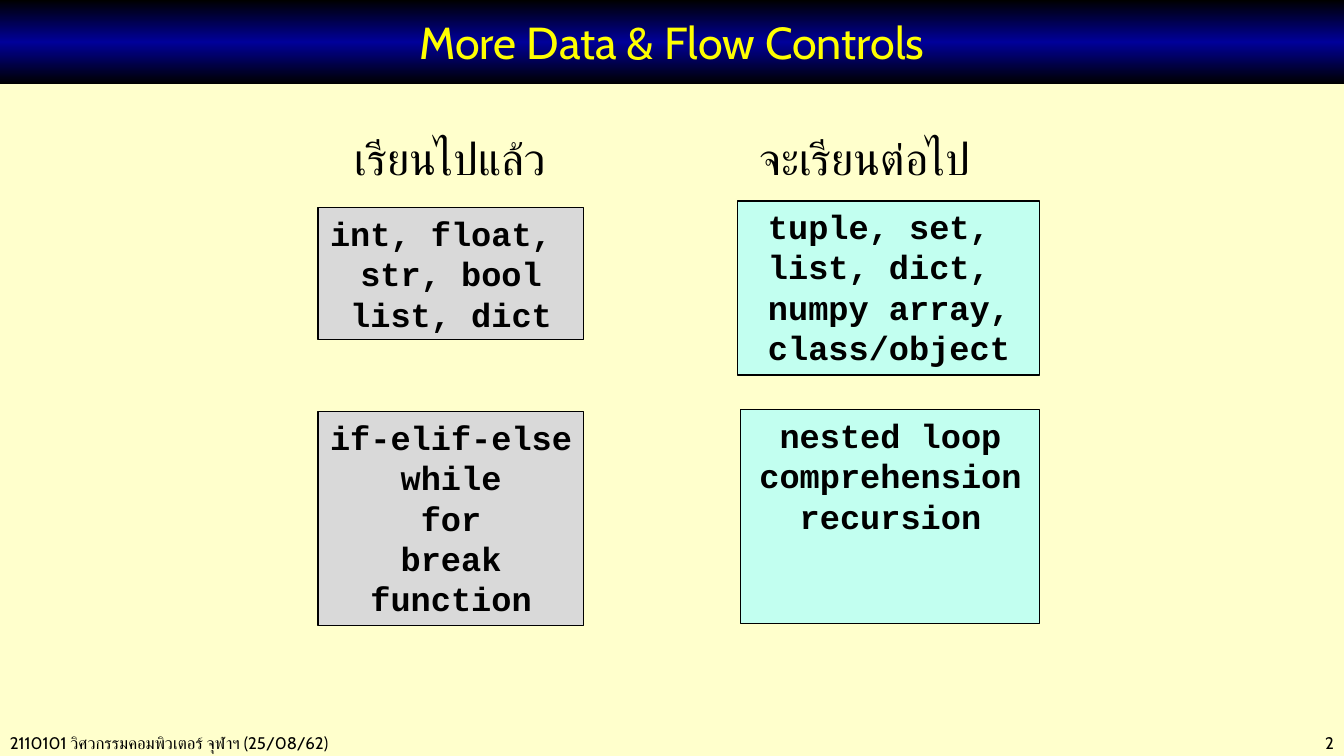
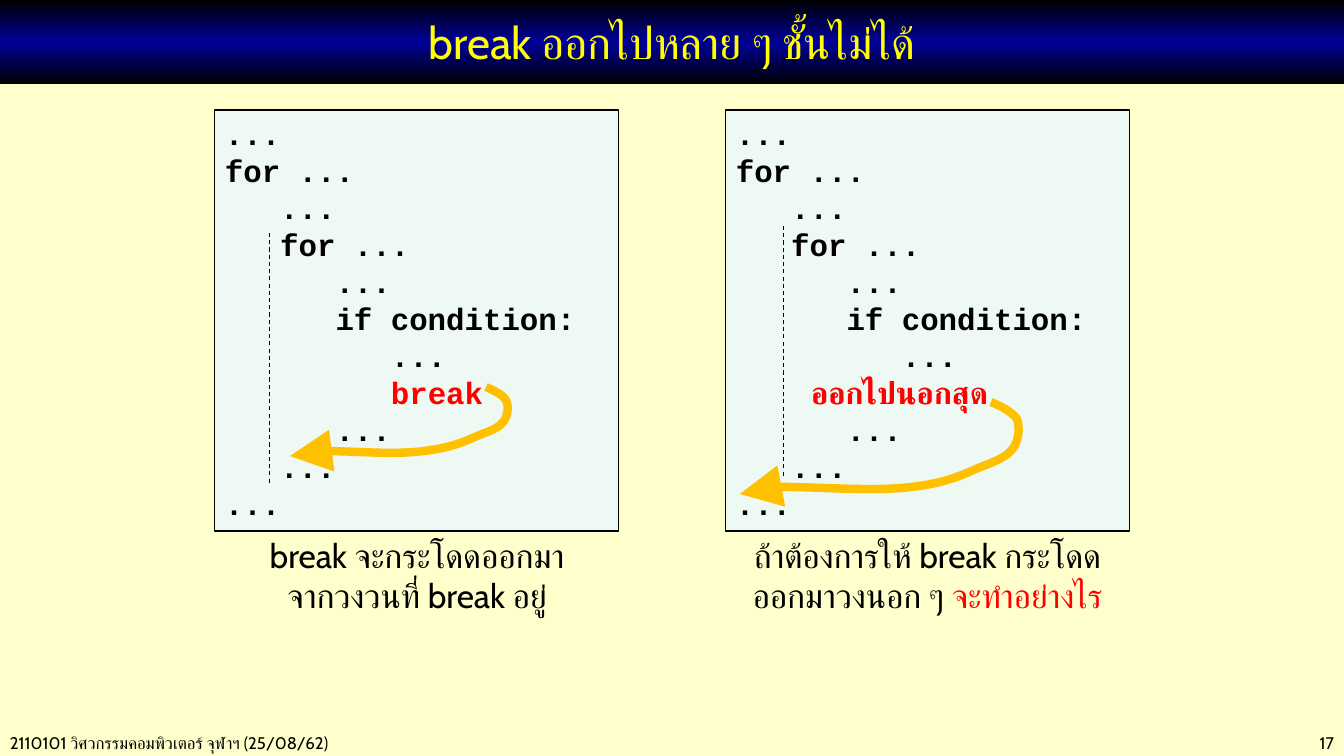
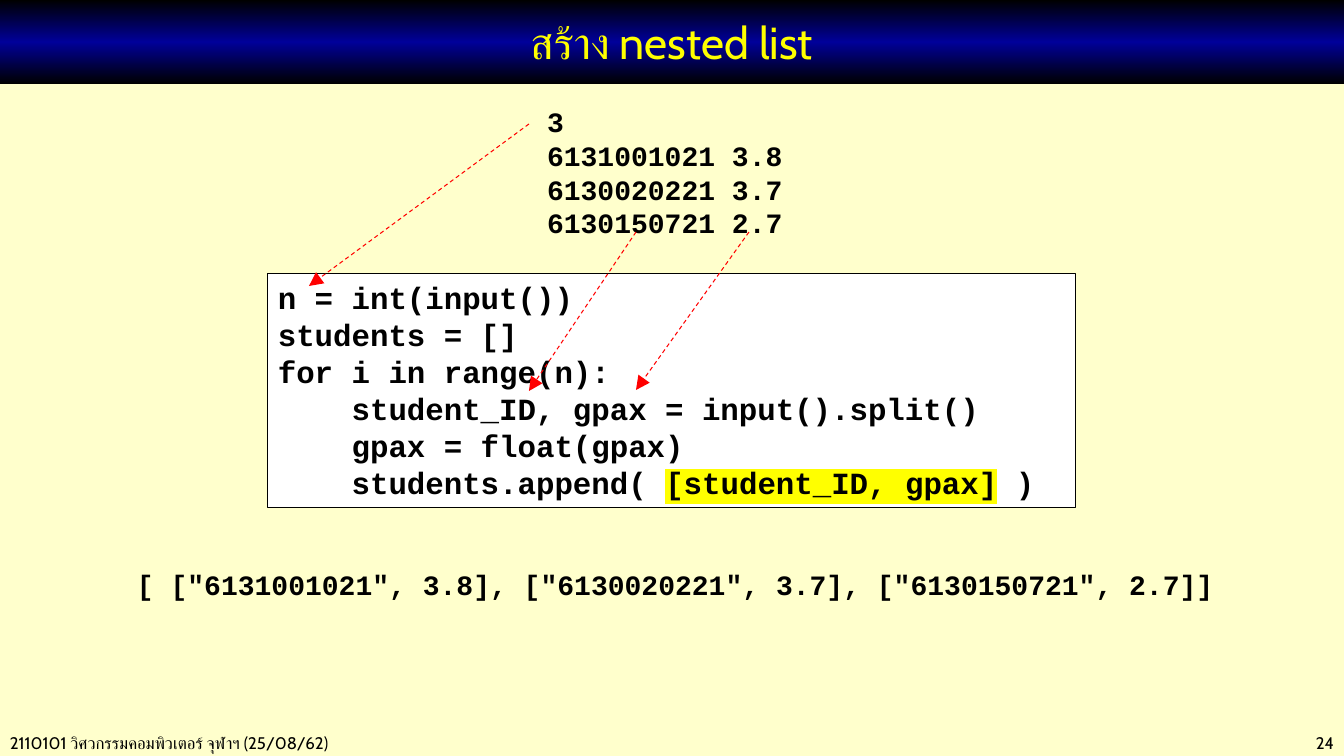
import copy
from dataclasses import dataclass
from typing import NamedTuple

import lxml.etree
import pptx
import pptx.dml.color
import pptx.enum.dml
import pptx.enum.shapes
import pptx.enum.text
import pptx.oxml.ns
import pptx.util

RGBColor = pptx.dml.color.RGBColor
PP_ALIGN = pptx.enum.text.PP_ALIGN
MSO_ANCHOR = pptx.enum.text.MSO_ANCHOR
qn = pptx.oxml.ns.qn

BLACK = RGBColor(0x00, 0x00, 0x00)
WHITE = RGBColor(0xFF, 0xFF, 0xFF)
NAVY = RGBColor(0x00, 0x00, 0x99)
YELLOW = RGBColor(0xFF, 0xFF, 0x00)
CREAM = RGBColor(0xFF, 0xFF, 0xCC)
RED = RGBColor(0xFF, 0x00, 0x00)
AMBER = RGBColor(0xFF, 0xC0, 0x00)
GRAY = RGBColor(0xD9, 0xD9, 0xD9)
AQUA = RGBColor(0xC2, 0xFF, 0xF0)
MINT = RGBColor(0xEE, 0xF9, 0xF4)

EMU_PER_PX = 914400 / 100.8
SLIDE_W, SLIDE_H = 1344, 756
SANS, MONO = "Cabin", "Courier New"
FOOTER = "2110101 วิศวกรรมคอมพิวเตอร์ จุฬาฯ (25/08/62)"


class Box(NamedTuple):
    x: int
    y: int
    w: int
    h: int


class Span(NamedTuple):
    text: str
    color: RGBColor = BLACK
    highlight: RGBColor | None = None
    size: int | None = None


class Arrow(NamedTuple):
    x1: int
    y1: int
    x2: int
    y2: int


@dataclass(frozen=True)
class Style:
    font: str
    size: int
    bold: bool = False
    align: PP_ALIGN = PP_ALIGN.LEFT
    color: RGBColor = BLACK


@dataclass(frozen=True)
class Topic:
    box: Box
    fill: RGBColor
    lines: tuple[str, ...]


@dataclass(frozen=True)
class LoopPanel:
    code: Box
    exit_line: tuple[Span, ...]
    caption: Box
    caption_spans: tuple[Span, ...]
    guide: Arrow
    jump_start: tuple[int, int]
    jump_scale: tuple[float, float]


TITLE = Style(SANS, 32, align=PP_ALIGN.CENTER, color=YELLOW)
FOOT_LEFT = Style(SANS, 12)
FOOT_RIGHT = Style(SANS, 12, align=PP_ALIGN.RIGHT)
HEADING = Style(MONO, 32, align=PP_ALIGN.CENTER)
TOPIC = Style(MONO, 24, bold=True, align=PP_ALIGN.CENTER)
CODE = Style(MONO, 22, bold=True)
DATA = Style(MONO, 20, bold=True)
CAPTION = Style(SANS, 24, align=PP_ALIGN.CENTER)

HEADINGS = (
    (Box(332, 126, 237, 65), "เรียนไปแล้ว"),
    (Box(735, 126, 260, 65), "จะเรียนต่อไป"),
)
TOPICS = (
    Topic(Box(318, 208, 266, 132), GRAY, ("int, float, \vstr, bool\vlist, dict",)),
    Topic(Box(738, 201, 302, 174), AQUA,
          ("tuple, set, \vlist, dict, \vnumpy array,", "class/object")),
    Topic(Box(318, 412, 266, 214), GRAY,
          ("if-elif-else", "while", "for", "break", "function")),
    Topic(Box(741, 410, 299, 214), AQUA,
          ("nested loop", "comprehension", "recursion")),
)

LOOP_PANELS = (
    LoopPanel(
        Box(215, 110, 404, 421),
        (Span("         "), Span("break", RED)),
        Box(246, 530, 342, 132),
        (Span("break จะกระโดดออกมาจากวงวนที่ break อยู่"),),
        Arrow(270, 233, 270, 483), (486, 387), (1, 1)),
    LoopPanel(
        Box(726, 110, 404, 421),
        (Span("         ", size=10), Span("ออกไปนอกสุด", RED)),
        Box(738, 530, 379, 132),
        (Span("ถ้าต้องการให้ break กระโดดออกมาวงนอก ๆ "), Span("จะทำอย่างไร", RED)),
        Arrow(784, 226, 784, 476), (991, 402), (1.28, 1.33)),
)
JUMP_CURVE = (
    (9, 4), (17, 8), (20, 13),
    (23, 19), (22, 28), (18, 34),
    (14, 39), (10, 42), (-4, 47),
    (-17, 52), (-29, 60), (-62, 64),
    (-94, 68), (-208, 59), (-196, 69),
)

STUDENT_CODE = (
    "n = int(input())",
    "students = []",
    "for i in range(n):",
    "    student_ID, gpax = input().split()",
    "    gpax = float(gpax)",
    (Span("    students.append( "), Span("[student_ID, gpax]", highlight=YELLOW), Span(" )")),
)
STUDENT_INPUT = ("3", "6131001021 3.8", "6130020221 3.7", "6130150721 2.7")
STUDENT_LIST = ('[ ["6131001021", 3.8], ["6130020221", 3.7], ["6130150721", 2.7]]',)
INPUT_ARROWS = (
    Arrow(636, 232, 529, 391),
    Arrow(749, 232, 636, 390),
    Arrow(529, 124, 309, 286),
)

Line = str | tuple[Span, ...]


def px(n: float) -> pptx.util.Emu:
    return pptx.util.Emu(round(n * EMU_PER_PX))


def place(box: Box) -> list[pptx.util.Emu]:
    return [px(n) for n in box]


def format_run(r, style: Style, span: Span) -> None:
    r.font.name = style.font
    r.font.size = pptx.util.Pt(span.size or style.size)
    r.font.bold = style.bold
    r.font.color.rgb = span.color
    latin = r.font._element.find(qn("a:latin"))
    if span.highlight is not None:
        mark = lxml.etree.Element(qn("a:highlight"))
        lxml.etree.SubElement(mark, qn("a:srgbClr"), val=str(span.highlight))
        latin.addprevious(mark)
    cs = lxml.etree.Element(qn("a:cs"), typeface=style.font)
    latin.addnext(cs)


def write(tf, lines: tuple[Line, ...], style: Style) -> None:
    tf.word_wrap = True
    tf.auto_size = pptx.enum.text.MSO_AUTO_SIZE.NONE
    for i, line in enumerate(lines):
        p = tf.paragraphs[0] if i == 0 else tf.add_paragraph()
        p.alignment = style.align
        if isinstance(line, str):
            p.text = line
            for r in p.runs:
                format_run(r, style, Span(line, style.color))
        else:
            for span in line:
                r = p.add_run()
                r.text = span.text
                format_run(r, style, span)


def add_text(slide, box: Box, lines: tuple[Line, ...], style: Style, indent: int = 0) -> None:
    tf = slide.shapes.add_textbox(*place(box)).text_frame
    tf.margin_left = px(10 + indent)
    write(tf, lines, style)


def add_panel(slide, box: Box, fill: RGBColor, lines: tuple[Line, ...], style: Style) -> None:
    sp = slide.shapes.add_shape(pptx.enum.shapes.MSO_SHAPE.RECTANGLE, *place(box))
    sp.shadow.inherit = False
    sp.fill.solid()
    sp.fill.fore_color.rgb = fill
    sp.line.color.rgb = BLACK
    sp.line.width = pptx.util.Pt(0.75)
    sp.text_frame.vertical_anchor = MSO_ANCHOR.TOP
    write(sp.text_frame, lines, style)


def add_arrowhead(sp) -> None:
    ln = sp.line._get_or_add_ln()
    lxml.etree.SubElement(ln, qn("a:tailEnd"), type="triangle", w="lg", len="lg")


def add_dashed(slide, line: Arrow, color: RGBColor, head: bool = False) -> None:
    sp = slide.shapes.add_connector(
        pptx.enum.shapes.MSO_CONNECTOR.STRAIGHT, *[px(n) for n in line])
    sp.line.color.rgb = color
    sp.line.width = pptx.util.Pt(0.75)
    sp.line.dash_style = pptx.enum.dml.MSO_LINE.DASH
    if head:
        add_arrowhead(sp)
    lxml.etree.SubElement(sp._element.spPr, qn("a:effectLst"))


def add_jump(slide, start: tuple[int, int], scale: tuple[float, float]) -> None:
    (x, y), (sx, sy) = start, scale
    points = [(x + round(dx * sx), y + round(dy * sy)) for dx, dy in JUMP_CURVE]
    builder = slide.shapes.build_freeform(x, y, scale=EMU_PER_PX)
    builder.add_line_segments(points, close=False)
    sp = builder.convert_to_shape()
    outline = sp._element.find(".//" + qn("a:path"))
    segments = outline.findall(qn("a:lnTo"))
    for i in range(0, len(segments), 3):
        curve = lxml.etree.SubElement(outline, qn("a:cubicBezTo"))
        for segment in segments[i:i + 3]:
            curve.append(segment[0])
            outline.remove(segment)
    sp.shadow.inherit = False
    sp.fill.background()
    sp.line.color.rgb = AMBER
    sp.line.width = pptx.util.Pt(6)
    add_arrowhead(sp)


def add_slide(prs, title: str, number: int):
    slide = prs.slides.add_slide(prs.slide_layouts[5])
    sp = slide.shapes.title
    sp.left, sp.top, sp.width, sp.height = place(Box(0, 0, SLIDE_W, 84))
    sp.fill.gradient()
    sp.fill.gradient_angle = 90
    stops = sp._element.find(".//" + qn("a:gsLst"))
    stops.append(copy.deepcopy(stops[0]))
    for stop, position, color in zip(sp.fill.gradient_stops, (0, 0.5, 1), (BLACK, NAVY, BLACK)):
        stop.position = position
        stop.color.rgb = color
    sp.text_frame.vertical_anchor = MSO_ANCHOR.MIDDLE
    write(sp.text_frame, (title,), TITLE)
    add_text(slide, Box(0, 728, 524, 30), (FOOTER,), FOOT_LEFT)
    add_text(slide, Box(1159, 728, 185, 30), (str(number),), FOOT_RIGHT)
    return slide


def loop_code(exit_line: tuple[Span, ...]) -> tuple[Line, ...]:
    return (
        "...",
        "for ...",
        "   ...",
        "   for ...",
        "      ...",
        "      if condition:",
        "         ...",
        exit_line,
        "      ...",
        "   ...",
        "...",
    )


def build_overview(prs) -> None:
    slide = add_slide(prs, "More Data & Flow Controls", 2)
    for box, text in HEADINGS:
        add_text(slide, box, (text,), HEADING)
    for topic in TOPICS:
        add_panel(slide, topic.box, topic.fill, topic.lines, TOPIC)


def build_break(prs) -> None:
    slide = add_slide(prs, "break ออกไปหลาย ๆ ชั้นไม่ได้", 17)
    for panel in LOOP_PANELS:
        add_panel(slide, panel.code, MINT, loop_code(panel.exit_line), CODE)
        add_jump(slide, panel.jump_start, panel.jump_scale)
        add_text(slide, panel.caption, (panel.caption_spans,), CAPTION)
        add_dashed(slide, panel.guide, BLACK)


def build_nested_list(prs) -> None:
    slide = add_slide(prs, "สร้าง nested list", 24)
    add_panel(slide, Box(268, 274, 808, 234), WHITE, STUDENT_CODE, CODE)
    add_text(slide, Box(77, 563, 1150, 44), STUDENT_LIST, DATA, indent=50)
    add_text(slide, Box(487, 100, 371, 146), STUDENT_INPUT, DATA, indent=50)
    for arrow in INPUT_ARROWS:
        add_dashed(slide, arrow, RED, head=True)


def main() -> None:
    prs = pptx.Presentation()
    prs.slide_width, prs.slide_height = px(SLIDE_W), px(SLIDE_H)
    background = prs.slide_master.background.fill
    background.solid()
    background.fore_color.rgb = CREAM
    build_overview(prs)
    build_break(prs)
    build_nested_list(prs)
    prs.save("out.pptx")


if __name__ == "__main__":
    main()
